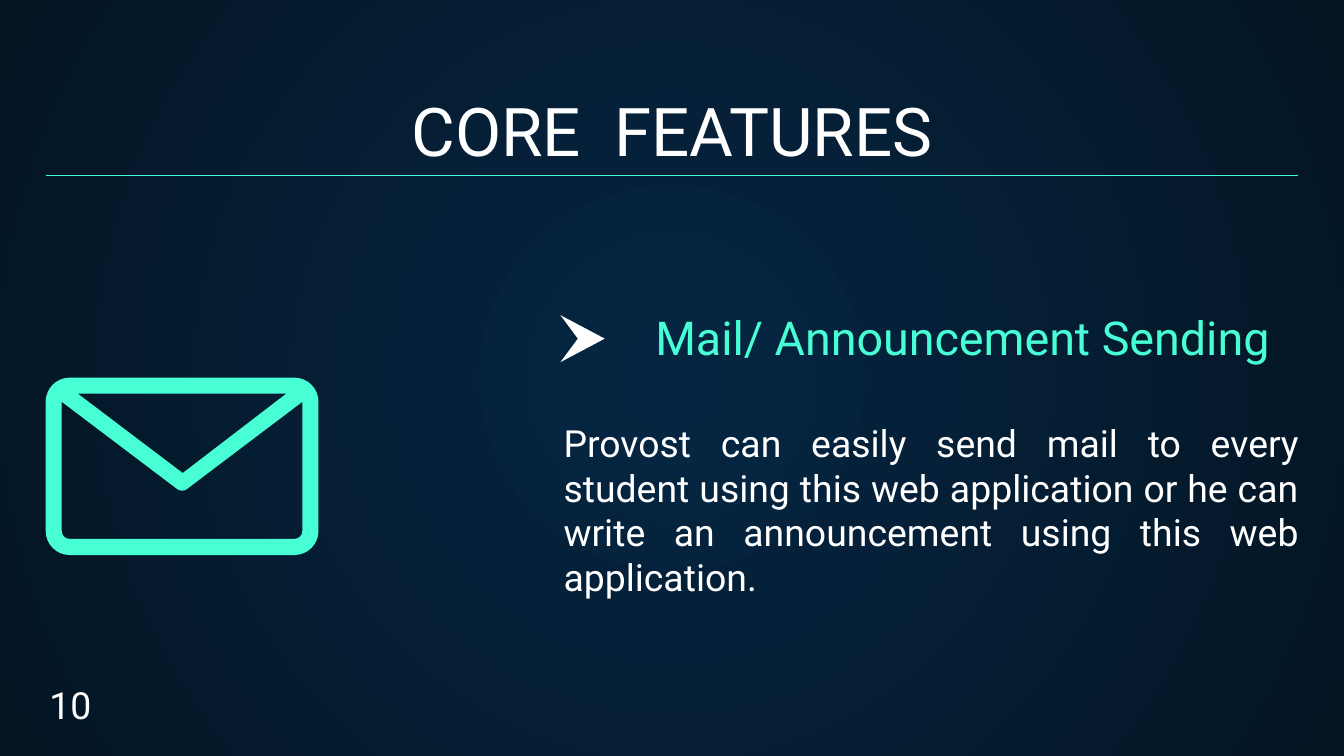
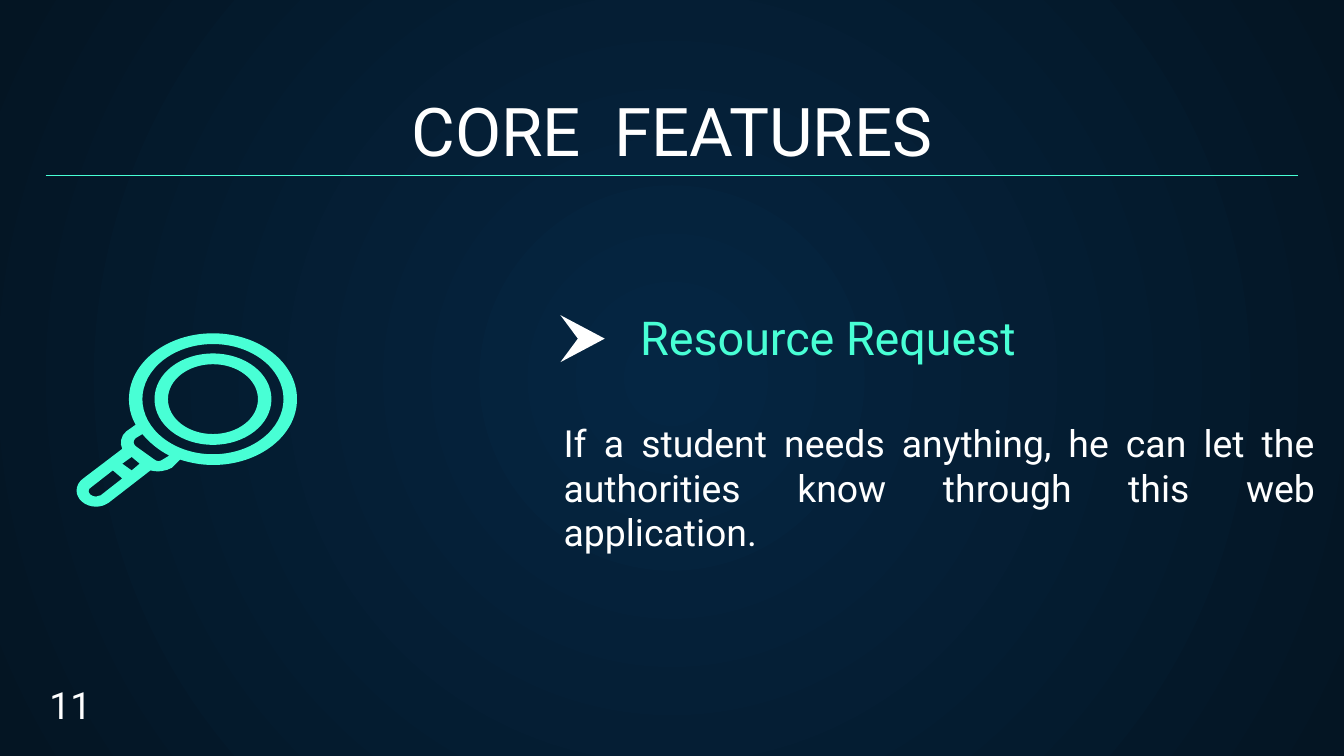
import math

from lxml import etree
from pptx import Presentation
from pptx import util as u
from pptx.dml.color import RGBColor
from pptx.enum import shapes, text
from pptx.oxml import ns

PX = 4572
FONT = "Roboto"
WHITE = RGBColor(0xFF, 0xFF, 0xFF)
MINT = RGBColor(0x48, 0xFF, 0xD5)
NAVY = RGBColor(0x05, 0x26, 0x43)
MIDNIGHT = RGBColor(0x04, 0x15, 0x23)
LEFT = text.PP_ALIGN.LEFT
CENTER = text.PP_ALIGN.CENTER
JUSTIFY = text.PP_ALIGN.JUSTIFY
TOP = text.MSO_ANCHOR.TOP
BOTTOM = text.MSO_ANCHOR.BOTTOM


def add_text(slide, box, words, size, color, align, anchor, wrap=True):
    shape = slide.shapes.add_textbox(*[u.Emu(value * PX) for value in box])
    frame = shape.text_frame
    frame.word_wrap = wrap
    frame.vertical_anchor = anchor
    frame.margin_left = frame.margin_right = u.Emu(20 * PX)
    frame.margin_top = frame.margin_bottom = u.Emu((20 if wrap else 10) * PX)
    paragraph = frame.paragraphs[0]
    paragraph.alignment = align
    run = paragraph.add_run()
    run.text = words
    run.font.name = FONT
    run.font.size = u.Pt(size)
    run.font.color.rgb = color


def arc(x, y, rx, ry, start=0, end=360):
    stops = [start, *[a for a in range(0, end, 90) if a > start], end]
    angles = [math.radians(stop) for stop in stops]
    segments = [(x + rx * math.cos(angles[0]), y + ry * math.sin(angles[0]))]
    for a, b in zip(angles, angles[1:]):
        k = 4 / 3 * math.tan((b - a) / 4)
        units = [
            (math.cos(a) - k * math.sin(a), math.sin(a) + k * math.cos(a)),
            (math.cos(b) + k * math.sin(b), math.sin(b) - k * math.cos(b)),
            (math.cos(b), math.sin(b)),
        ]
        segments.append([(x + rx * c, y + ry * s) for c, s in units])
    return segments


arrow = [[(834, 469), (860, 504), (834, 539), (900, 504)]]

envelope_edge = []
for x, y, start in [(104, 598, 180), (438, 598, 270), (438, 790, 0), (104, 790, 90)]:
    envelope_edge += arc(x, y, 36, 36, start, start + 90)
envelope_flap = [(426, 586), (272, 704), (116, 586)]
envelope_body = [
    (450, 598), *arc(438, 790, 12, 12, 0, 90), *arc(104, 790, 12, 12, 90, 180),
    (92, 598), (264, 728), [(268, 731), (274, 731), (278, 728)],
]
envelope = [envelope_edge, envelope_flap, envelope_body]

glass_edge = [
    *arc(317, 594, 125, 98, 157, 473), (256, 696), [(247, 701), (236, 703), (224, 700)],
    *arc(143, 730, 29, 24, 50, 230), (182, 668), [(178, 660), (180, 648), (188, 642)],
]
glass_sleeve = [
    (212, 646), [(222, 658), (236, 670), (252, 678)], (242, 684),
    [(238, 687), (234, 687), (230, 684)], (202, 664), [(198, 660), (198, 656), (202, 652)],
]
glass_joint = [(196, 680), (208, 690), (196, 700), (182, 690)]
glass_grip = [(168, 700), (182, 712), *arc(143, 731, 11, 8, 50, 230)]
magnifier = [glass_edge, arc(317, 594, 105, 82), glass_sleeve, glass_joint, glass_grip]
lens = [arc(317, 594, 87, 68), arc(317, 594, 67, 52)]

features = [
    (
        10, "Mail/ Announcement Sending", CENTER, 1134,
        "Provost can easily send mail to every student using this web application "
        "or he can write an announcement using this web application.",
        [envelope],
    ),
    (
        11, "Resource Request", LEFT, 1158,
        "If a student needs anything, he can let the authorities know through "
        "this web application.",
        [magnifier, lens],
    ),
]

presentation = Presentation()
presentation.slide_width = u.Emu(2000 * PX)
presentation.slide_height = u.Emu(1125 * PX)

master = presentation.slide_master
background = master.background.fill
background.gradient()
for stop, color in zip(background.gradient_stops, [NAVY, MIDNIGHT]):
    stop.color.rgb = color
gradient = master.element.find(".//" + ns.qn("p:bgPr")).find(ns.qn("a:gradFill"))
gradient.remove(gradient.find(ns.qn("a:lin")))
circle = etree.SubElement(gradient, ns.qn("a:path"), {"path": "circle"})
etree.SubElement(circle, ns.qn("a:fillToRect"), dict.fromkeys("ltrb", "50000"))

for number, heading, heading_align, body_width, body, icon in features:
    slide = presentation.slides.add_slide(presentation.slide_layouts[6])
    add_text(slide, (68, 141, 1864, 132), "CORE  FEATURES", 36, WHITE, CENTER, BOTTOM)
    add_text(slide, (819, 605, body_width, 354), body, 20, WHITE, JUSTIFY, TOP)
    add_text(slide, (933, 431, 998, 132), heading, 25, MINT, heading_align, BOTTOM)

    rule = slide.shapes.add_connector(
        shapes.MSO_CONNECTOR.STRAIGHT, 68 * PX, 261 * PX, 1932 * PX, 261 * PX
    )
    rule.line.color.rgb = MINT
    rule.line.width = u.Pt(0.75)
    etree.SubElement(rule.element.spPr, ns.qn("a:effectLst"))

    for outline, color in [(arrow, WHITE)] + [(part, MINT) for part in icon]:
        builder = slide.shapes.build_freeform(*outline[0][0], scale=PX)
        segments = []
        for contour in outline:
            if segments:
                builder.move_to(*contour[0])
            steps = [s if isinstance(s, list) else [s] for s in contour[1:]]
            builder.add_line_segments([point for step in steps for point in step])
            segments += steps
        shape = builder.convert_to_shape()
        shape.shadow.inherit = False
        shape.fill.solid()
        shape.fill.fore_color.rgb = color
        shape.line.fill.background()

        lines = iter(list(shape.element.iter(ns.qn("a:lnTo"))))
        for segment in segments:
            nodes = [next(lines) for point in segment]
            if len(nodes) == 3:
                curve = etree.Element(ns.qn("a:cubicBezTo"))
                nodes[0].addprevious(curve)
                for node in nodes:
                    curve.append(node[0])
                    node.getparent().remove(node)

    add_text(slide, (54, 1006, 106, 88), str(number), 20, WHITE, LEFT, TOP, wrap=False)

presentation.save("out.pptx")
